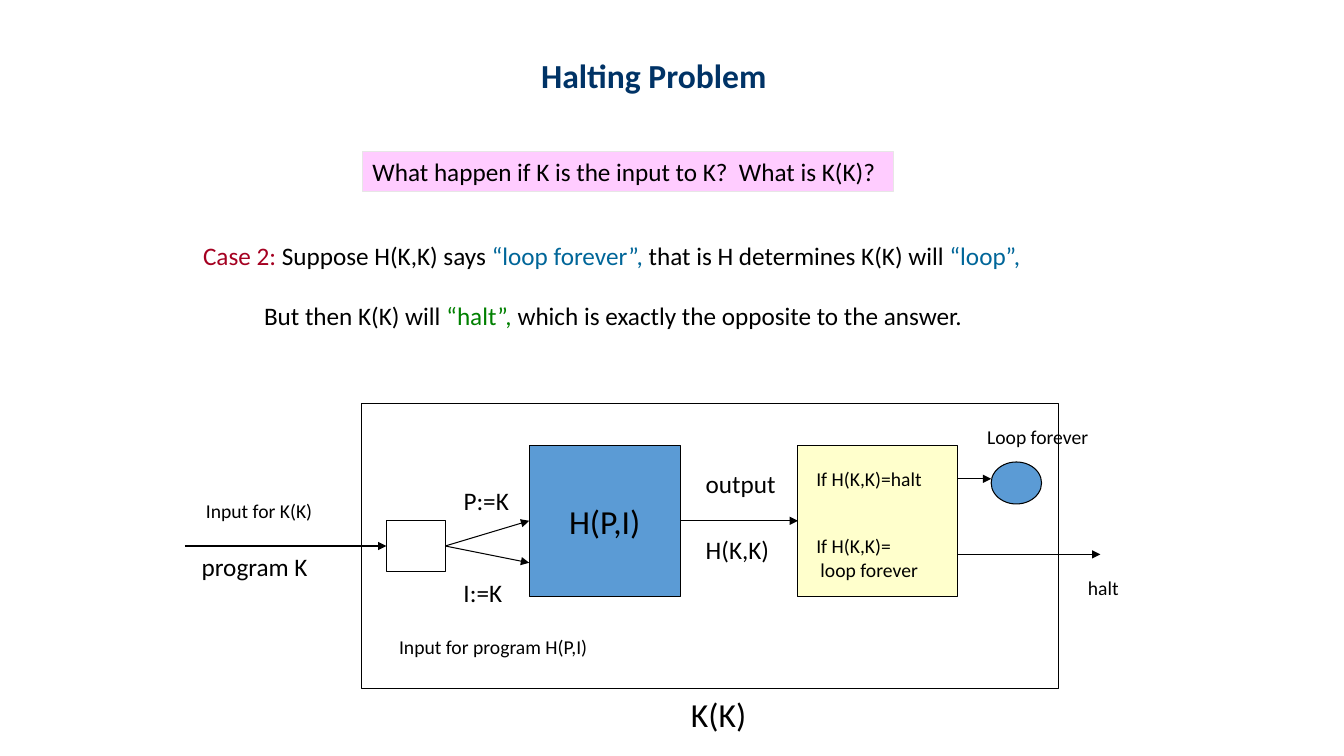
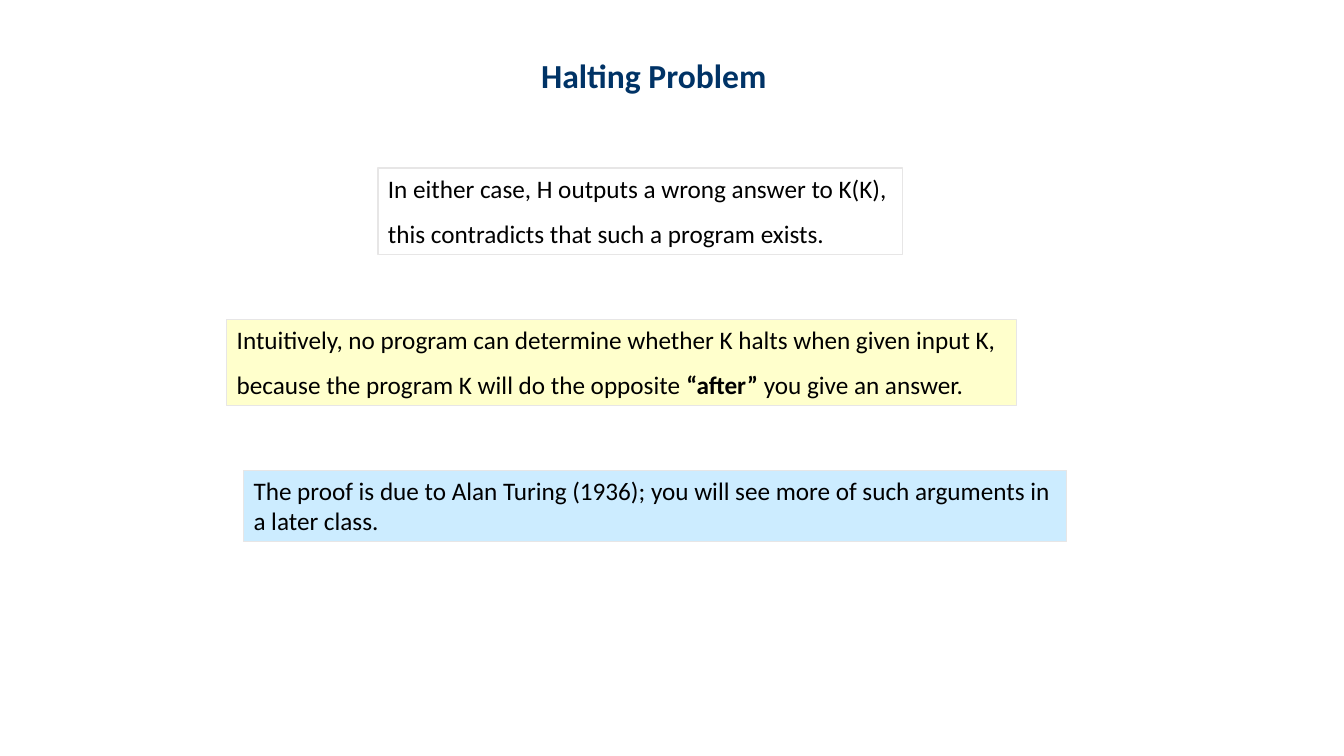
from lxml import etree
from pptx import Presentation
from pptx.dml.color import RGBColor
from pptx.enum.shapes import MSO_CONNECTOR as Connector, MSO_SHAPE as Preset
from pptx.enum.text import MSO_ANCHOR as Anchor, MSO_AUTO_SIZE as AutoSize, PP_ALIGN as Align
from pptx.oxml.ns import qn
from pptx.util import Pt

BLACK = RGBColor(0x00, 0x00, 0x00)
NAVY = RGBColor(0x00, 0x33, 0x66)
CRIMSON = RGBColor(0xA5, 0x00, 0x21)
TEAL = RGBColor(0x00, 0x66, 0x99)
GREEN = RGBColor(0x00, 0x80, 0x00)
BLUE = RGBColor(0x5B, 0x9B, 0xD5)
PINK = RGBColor(0xFF, 0xCC, 0xFF)
CREAM = RGBColor(0xFF, 0xFF, 0xCC)
SKY = RGBColor(0xCC, 0xEC, 0xFF)
PALE_GREY = RGBColor(0xE7, 0xE6, 0xE6)

FONT = "Calibri"
LARGE, NORMAL, SMALL = 24, 18, 14
LINE_WIDTH = 0.75
LEFT, RIGHT = 1, 3


class Deck:
    """Holds the shared style and the slide being filled."""

    def __init__(self, width, height):
        self.presentation = Presentation()
        self.presentation.slide_width = Pt(width)
        self.presentation.slide_height = Pt(height)
        self.slide = None

    def new_slide(self, title):
        blank = self.presentation.slide_layouts[6]
        self.slide = self.presentation.slides.add_slide(blank)
        self.text(379.5, 36, 177, 36, [[(title, {"bold": True}, NAVY)]], LARGE)

    def set_text(self, shape, paragraphs, size, wrap=False, grow=True,
                 anchor=Anchor.TOP, alignment=Align.LEFT):
        """Each paragraph is a string or a list of (text, font format, colour) runs."""
        frame = shape.text_frame
        frame.auto_size = AutoSize.SHAPE_TO_FIT_TEXT if grow else AutoSize.NONE
        frame.word_wrap = wrap
        frame.vertical_anchor = anchor
        for index, runs in enumerate(paragraphs):
            paragraph = frame.add_paragraph() if index else frame.paragraphs[0]
            paragraph.alignment = alignment
            if isinstance(runs, str):
                runs = [(runs, {}, BLACK)]
            for text, font_format, colour in runs:
                run = paragraph.add_run()
                run.text = text
                settings = {"name": FONT, "size": Pt(size), "bold": False, **font_format}
                for name, value in settings.items():
                    setattr(run.font, name, value)
                run.font.color.rgb = colour
        return frame

    def text(self, left, top, width, height, paragraphs, size=NORMAL):
        box = self.slide.shapes.add_textbox(Pt(left), Pt(top), Pt(width), Pt(height))
        return self.set_text(box, paragraphs, size)

    def shape(self, left, top, width, height, fill=None, line=BLACK, preset=Preset.RECTANGLE):
        shape = self.slide.shapes.add_shape(preset, Pt(left), Pt(top), Pt(width), Pt(height))
        shape.shadow.inherit = False
        if fill is None:
            shape.fill.background()
        else:
            shape.fill.solid()
            shape.fill.fore_color.rgb = fill
        shape.line.color.rgb = line
        shape.line.width = Pt(LINE_WIDTH)
        return shape

    def callout(self, left, top, width, height, paragraphs, fill=None, wrap=False):
        shape = self.shape(left, top, width, height, fill, PALE_GREY)
        return self.set_text(shape, paragraphs, NORMAL, wrap)

    def arrow(self, start, end, source=None, target=None):
        """Draw an arrow; source and target are (shape, side) pairs to join."""
        points = [Pt(value) for value in (*start, *end)]
        connector = self.slide.shapes.add_connector(Connector.STRAIGHT, *points)
        if source:
            connector.begin_connect(*source)
        if target:
            connector.end_connect(*target)
        connector.line.color.rgb = BLACK
        connector.line.width = Pt(LINE_WIDTH)
        properties = connector._element.spPr
        etree.SubElement(properties.find(qn("a:ln")), qn("a:tailEnd"), type="triangle")
        etree.SubElement(properties, qn("a:effectLst"))


def build_case_slide(deck):
    deck.new_slide("Halting Problem")

    # Question and argument
    deck.callout(259, 108, 379, 29, ["What happen if K is the input to K?  What is K(K)?"], PINK)
    deck.text(138, 168, 609, 29, [[
        ("Case 2:", {}, CRIMSON), (" Suppose H(K,K) says ", {}, BLACK),
        ("“loop forever”,", {}, TEAL), (" that is H determines K(K) will ", {}, BLACK),
        ("“loop”,", {}, TEAL)]])
    deck.text(181.5, 211, 519, 29, [[
        ("But then K(K) will ", {}, BLACK), ("“halt”,", {}, GREEN),
        (" which is exactly the opposite to the answer.", {}, BLACK)]])

    # Program boxes
    deck.shape(258, 288, 498, 204)
    splitter = deck.shape(276, 372, 42, 36)
    decider = deck.shape(378, 318, 108, 108, BLUE)
    deck.set_text(decider, ["H(P,I)"], LARGE, grow=False, anchor=Anchor.MIDDLE,
                  alignment=Align.CENTER)
    chooser = deck.shape(570, 318, 114, 108, CREAM)
    deck.shape(708, 330, 36, 30, BLUE, preset=Preset.OVAL)

    # Flow between the boxes
    deck.arrow((132, 390), (276, 390), target=(splitter, LEFT))
    deck.arrow((318, 390), (378, 372), (splitter, RIGHT), (decider, LEFT))
    deck.arrow((318, 390), (378, 402), (splitter, RIGHT))
    deck.arrow((486, 372), (570, 372), (decider, RIGHT), (chooser, LEFT))
    deck.arrow((684, 342), (708, 342))
    deck.arrow((684, 396), (786, 396))

    # Labels
    for left, top, width, height, size, label in (
        (486.5, 492, 55, 36, LARGE, "K(K)"),
        (140, 353, 91, 24, SMALL, "Input for K(K)"),
        (137, 390, 91, 29, NORMAL, "program K"),
        (324, 343, 48, 29, NORMAL, "P:=K"),
        (324, 409, 42, 29, NORMAL, "I:=K"),
        (278, 450, 150, 24, SMALL, "Input for program H(P,I)"),
        (497, 331, 65, 29, NORMAL, "output"),
        (497, 378, 60, 29, NORMAL, "H(K,K)"),
        (576, 330, 91, 24, SMALL, "If H(K,K)=halt"),
        (698, 300, 87, 24, SMALL, "Loop forever"),
        (770, 408, 37, 24, SMALL, "halt"),
    ):
        deck.text(left, top, width, height, [label], size)
    loop_case = deck.text(576, 378, 88, 41, ["If H(K,K)=", "loop forever"], SMALL)
    loop_case.paragraphs[1]._p.get_or_add_pPr().set("marL", str(Pt(3)))


def build_conclusion_slide(deck):
    deck.new_slide("Halting Problem")

    # Conclusions
    contradiction = deck.callout(270, 120, 375, 62, [
        "In either case, H outputs a wrong answer to K(K),",
        "this contradicts that such a program exists."])
    intuition = deck.callout(162, 228, 564, 62, [
        "Intuitively, no program can determine whether K halts when given input K,",
        [("because the program K will do the opposite ", {}, BLACK),
         ("“after”", {"bold": True}, BLACK), (" you give an answer.", {}, BLACK)]], CREAM)
    for frame in (contradiction, intuition):
        frame.paragraphs[1].line_spacing = 1.5

    # Credit
    deck.callout(174, 336, 588, 51, [
        "The proof is due to Alan Turing (1936); you will see more of such arguments "
        "in a later class."], SKY, wrap=True)


def main():
    deck = Deck(960, 540)
    build_case_slide(deck)
    build_conclusion_slide(deck)
    deck.presentation.save("out.pptx")


if __name__ == "__main__":
    main()
